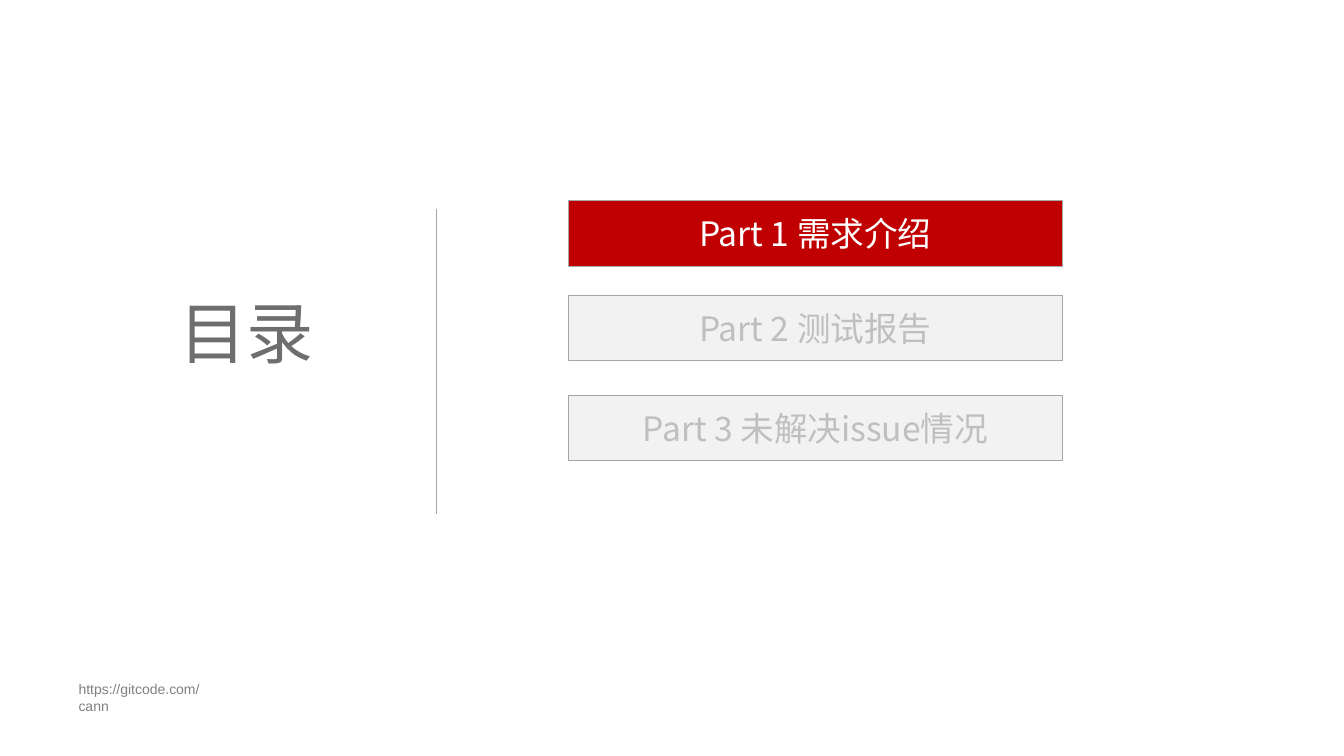
from dataclasses import dataclass

from lxml.etree import SubElement
from pptx import Presentation
from pptx.dml.color import RGBColor as RGB
from pptx.enum.shapes import MSO_CONNECTOR as CONNECTOR, MSO_SHAPE as SHAPE
from pptx.enum.text import MSO_ANCHOR as ANCHOR, MSO_AUTO_SIZE as AUTO_SIZE, PP_ALIGN as ALIGN
from pptx.oxml.ns import qn
from pptx.util import Pt


@dataclass(frozen=True)
class Theme:
    cjk_font: str = "Noto Sans CJK SC"
    latin_font: str = "Arial"
    title_size: int = 48
    part_size: int = 24
    footer_size: int = 10
    white: RGB = RGB.from_string("FFFFFF")
    red: RGB = RGB.from_string("C00000")
    pale: RGB = RGB.from_string("F2F2F2")
    rule: RGB = RGB.from_string("A6A6A6")
    title_text: RGB = RGB.from_string("6E6E6E")
    muted_text: RGB = RGB.from_string("BFBFBF")
    footer_text: RGB = RGB.from_string("808080")


THEME = Theme()
# Each part: top within the agenda box, label
PARTS = [
    (0, "Part 1 需求介绍"),
    (67.7, "Part 2 测试报告"),
    (138.9, "Part 3 未解决issue情况"),
]
CURRENT_PART = 0
PART_HEIGHT = 46.8


def write(shape, text, font, size, color, align=ALIGN.CENTER, anchor=ANCHOR.MIDDLE):
    frame = shape.text_frame
    frame.text = text
    frame.word_wrap = True
    frame.auto_size = AUTO_SIZE.NONE
    frame.vertical_anchor = anchor
    para = frame.paragraphs[0]
    para.alignment = align
    para.font.size = Pt(size)
    para.font.color.rgb = color
    para.font.name = font
    # East Asian characters take the same font
    defaults = para._p.pPr.find(qn("a:defRPr"))
    SubElement(defaults, qn("a:ea")).set("typeface", font)


def fill(shape, color):
    shape.fill.solid()
    shape.fill.fore_color.rgb = color


def add_title(page, left, top, width, height):
    title = page.shapes.title
    title.left, title.top, title.width, title.height = map(Pt, (left, top, width, height))
    fill(title, THEME.white)
    write(title, "目录", THEME.cjk_font, THEME.title_size, THEME.title_text)


def add_agenda(page, left, top, width):
    group = page.shapes.add_group_shape()
    for index, (offset, label) in enumerate(PARTS):
        current = index == CURRENT_PART
        bar = group.shapes.add_shape(
            SHAPE.RECTANGLE, Pt(left), Pt(top + offset), Pt(width), Pt(PART_HEIGHT))
        bar.shadow.inherit = False
        fill(bar, THEME.red if current else THEME.pale)
        bar.line.color.rgb = THEME.rule
        bar.line.width = Pt(0.75)
        write(bar, label, THEME.cjk_font, THEME.part_size,
              THEME.white if current else THEME.muted_text)


def add_divider(page, left, top, height):
    divider = page.shapes.add_connector(
        CONNECTOR.STRAIGHT, Pt(left), Pt(top), Pt(left), Pt(top + height))
    divider.line.color.rgb = THEME.rule
    divider.line.width = Pt(1)
    SubElement(divider._element.spPr, qn("a:effectLst"))


def add_footer(page, left, top, width, height):
    box = page.shapes.add_textbox(Pt(left), Pt(top), Pt(width), Pt(height))
    write(box, "https://gitcode.com/cann", THEME.latin_font, THEME.footer_size,
          THEME.footer_text, ALIGN.LEFT, ANCHOR.TOP)


def main():
    deck = Presentation()
    deck.slide_width, deck.slide_height = Pt(960), Pt(540)
    page = deck.slides.add_slide(deck.slide_layouts[5])

    # Heading on the left, parts on the right, divider between
    add_title(page, 43.2, 204.5, 266.4, 65.5)
    add_agenda(page, 406, 143.3, 352.8)
    add_divider(page, 311.8, 149, 218.2)

    # Web address at the foot
    add_footer(page, 49, 482.4, 120, 32)

    deck.save("out.pptx")


if __name__ == "__main__":
    main()
